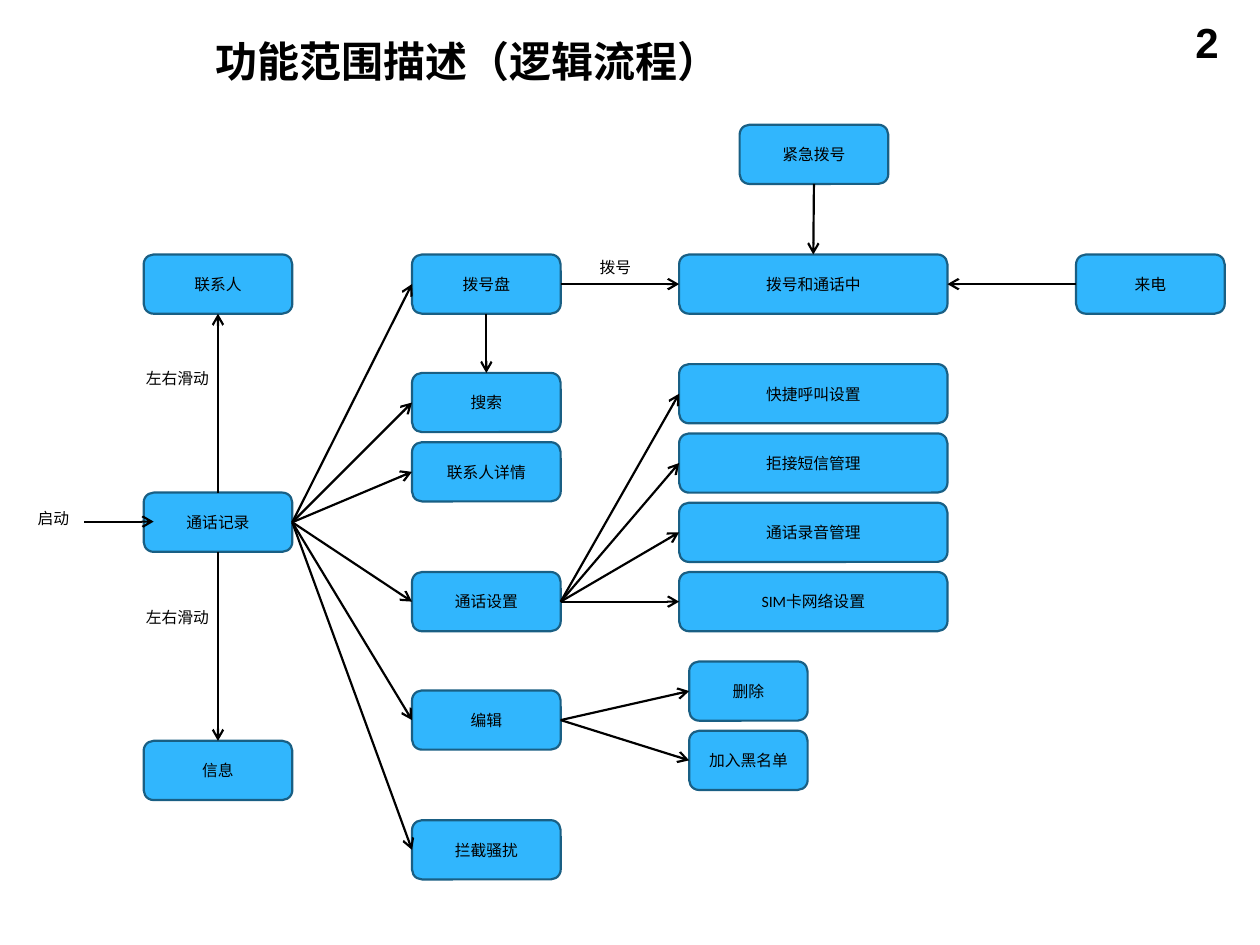
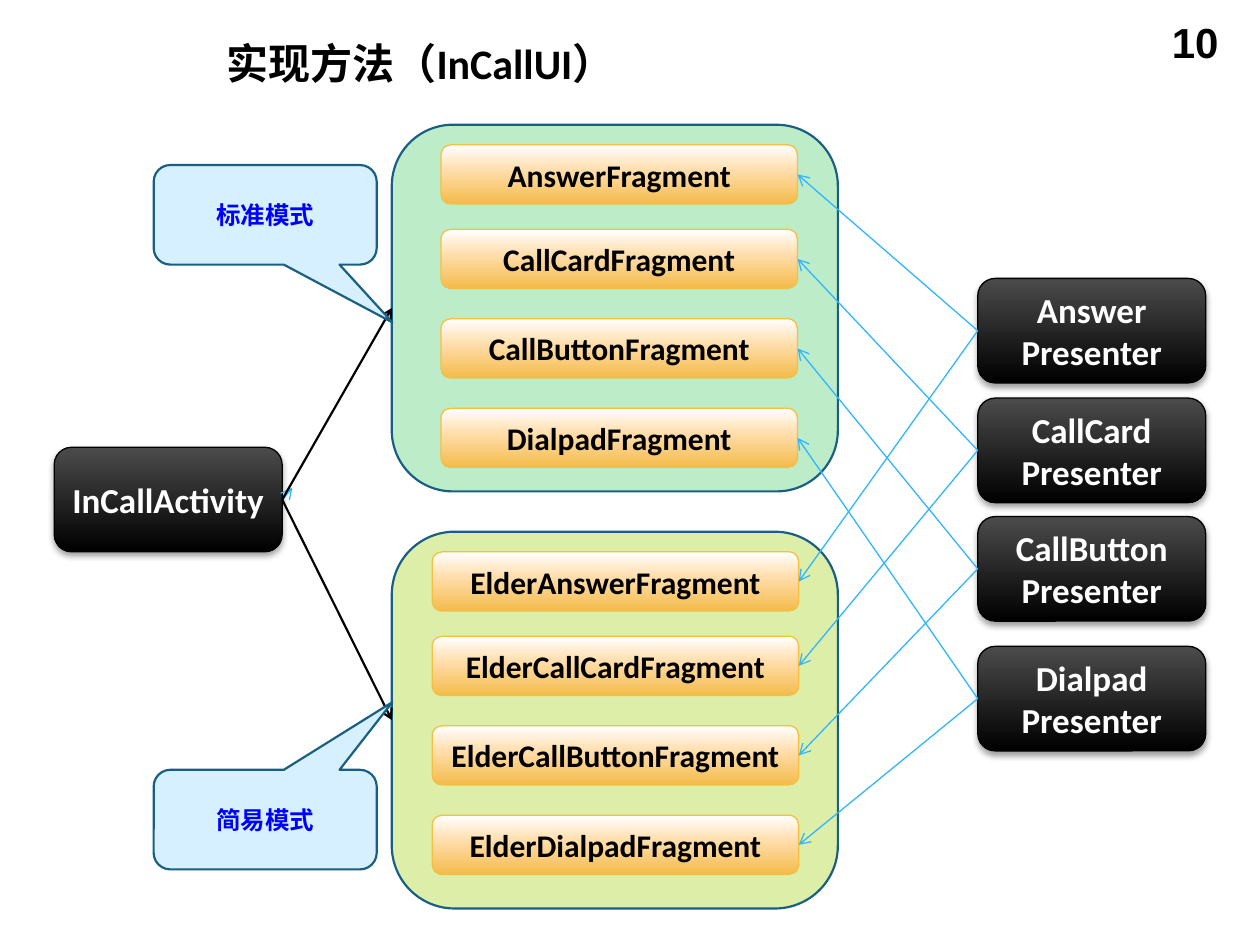
from copy import deepcopy
from enum import IntEnum

from lxml import etree
from pptx import Presentation
from pptx.dml.color import RGBColor
from pptx.enum import shapes, text
from pptx import util as u
from pptx.oxml import ns

BLACK = RGBColor(0x00, 0x00, 0x00)
WHITE = RGBColor(0xFF, 0xFF, 0xFF)
CHARCOAL = RGBColor(0x4B, 0x4B, 0x4B)
SKY = RGBColor(0x31, 0xB6, 0xFD)
PALE_SKY = RGBColor(0xD6, 0xF0, 0xFF)
NAVY = RGBColor(0x19, 0x5F, 0x84)
BLUE = RGBColor(0x00, 0x00, 0xFF)
MINT = RGBColor(0xBD, 0xEC, 0xC9)
LIME = RGBColor(0xDC, 0xEE, 0xA7)
PEACH = RGBColor(0xFF, 0xDD, 0xAA)
AMBER = RGBColor(0xF4, 0xBB, 0x4A)
GOLD = RGBColor(0xF5, 0xC0, 0x40)

DARK_GRADIENT = [(0, CHARCOAL), (1, BLACK)]
AMBER_GRADIENT = [(0, WHITE), (0.44, PEACH), (1, AMBER)]
ROUNDED = shapes.MSO_SHAPE.ROUNDED_RECTANGLE
CALLOUT = shapes.MSO_SHAPE.ROUNDED_RECTANGULAR_CALLOUT
BOX_HEIGHT = 0.47


class Side(IntEnum):
    """Connection sites of a rounded rectangle."""
    TOP = 0
    LEFT = 1
    BOTTOM = 2
    RIGHT = 3


class Painter:
    """Holds the shared style and draws on the current slide."""

    def __init__(self, deck):
        self.deck = deck
        self.page = None

    def start_page(self, number):
        self.page = self.deck.slides.add_slide(self.deck.slide_layouts[6])
        self.label(str(number), 7.44, 0.08, 2.33, 0.52, size=24, bold=True,
                   align=text.PP_ALIGN.RIGHT)

    def add_words(self, frame, words, size, color, font, bold, align):
        for index, line in enumerate(words.split("\n")):
            para = frame.paragraphs[0] if index == 0 else frame.add_paragraph()
            para.alignment = align
            span = para.add_run()
            span.text = line
            span.font.size = u.Pt(size)
            span.font.name = font
            span.font.bold = bold
            span.font.color.rgb = color

    def label(self, words, left, top, width, height, size=9, font="Arial",
              bold=False, align=text.PP_ALIGN.LEFT):
        box = self.page.shapes.add_textbox(
            *map(u.Inches, (left, top, width, height)))
        box.text_frame.word_wrap = True
        self.add_words(box.text_frame, words, size, BLACK, font, bold, align)
        return box

    def title(self, words, left, top, width, height, font):
        box = self.label(words, left, top, width, height, 24, font, True)
        box.text_frame.vertical_anchor = text.MSO_ANCHOR.MIDDLE

    def box(self, words, left, top, width, height=BOX_HEIGHT, fill=SKY,
            edge=NAVY, weight=1.25, size=9, color=BLACK, bold=False,
            kind=ROUNDED):
        box = self.page.shapes.add_shape(
            kind, *map(u.Inches, (left, top, width, height)))
        box.shadow.inherit = False
        if isinstance(fill, list):
            self.gradient(box, fill)
        else:
            box.fill.solid()
            box.fill.fore_color.rgb = fill
        box.line.color.rgb = edge
        box.line.width = u.Pt(weight)
        frame = box.text_frame
        frame.word_wrap = False
        frame.vertical_anchor = text.MSO_ANCHOR.MIDDLE
        if words:
            self.add_words(frame, words, size, color, "Calibri", bold,
                           text.PP_ALIGN.CENTER)
        return box

    def gradient(self, box, stops):
        box.fill.gradient()
        box.fill.gradient_angle = 270
        stop_list = box._element.spPr.find(".//" + ns.qn("a:gsLst"))
        while len(stop_list) < len(stops):
            stop_list.append(deepcopy(stop_list[0]))
        for stop, (position, color) in zip(box.fill.gradient_stops, stops):
            stop.position = position
            stop.color.rgb = color

    def dark_box(self, words, left, top):
        box = self.box(words, left, top, 1.81, 0.83, DARK_GRADIENT, BLACK,
                       0.75, 20, WHITE, True)
        effects = box._element.spPr.find(ns.qn("a:effectLst"))
        shadow = etree.SubElement(
            effects, ns.qn("a:outerShdw"), blurRad=str(u.Pt(4)),
            dist=str(u.Pt(2)), dir="5400000", rotWithShape="0")
        shade = etree.SubElement(shadow, ns.qn("a:srgbClr"), val=str(BLACK))
        etree.SubElement(shade, ns.qn("a:alpha"), val="38000")
        return box

    def fragment(self, words, left, top, width):
        return self.box(words, left, top, width, fill=AMBER_GRADIENT,
                        edge=GOLD, weight=0.75, size=18, bold=True)

    def callout(self, words, left, top, tip_y):
        box = self.box(words, left, top, 1.77, 0.79, PALE_SKY, size=14,
                       color=BLUE, bold=True, kind=CALLOUT)
        box.adjustments[0] = 0.57
        box.adjustments[1] = tip_y

    def arrow(self, start=(0, 0), end=(0, 0), color=BLACK, weight=1.25):
        arrow = self.page.shapes.add_connector(
            shapes.MSO_CONNECTOR.STRAIGHT, *map(u.Inches, (*start, *end)))
        arrow.line.color.rgb = color
        arrow.line.width = u.Pt(weight)
        properties = arrow._element.spPr
        etree.SubElement(properties.find(ns.qn("a:ln")), ns.qn("a:tailEnd"),
                         type="arrow")
        etree.SubElement(properties, ns.qn("a:effectLst"))
        return arrow

    def link(self, source, target, leave=Side.RIGHT, enter=Side.LEFT,
             **style):
        arrow = self.arrow(**style)
        arrow.begin_connect(source, int(leave))
        arrow.end_connect(target, int(enter))


def draw_logic_flow(painter):
    painter.start_page(2)
    painter.title("功能范围描述（逻辑流程）", 1.61, 0.21, 8.19, 0.55, "Arial")

    # Boxes by column: left edge, width, then top and wording of each
    columns = [
        (1.14, 1.18, [(2.02, "联系人"), (3.91, "通话记录"), (5.88, "信息")]),
        (3.27, 1.18, [(2.02, "拨号盘"), (2.96, "搜索"), (3.51, "联系人详情"),
                      (4.54, "通话设置"), (5.48, "编辑"), (6.51, "拦截骚扰")]),
        (5.39, 2.13, [(2.02, "拨号和通话中"), (2.89, "快捷呼叫设置"),
                      (3.44, "拒接短信管理"), (3.99, "通话录音管理"),
                      (4.54, "SIM卡网络设置")]),
        (5.47, 0.94, [(5.25, "删除"), (5.8, "加入黑名单")]),
        (5.87, 1.18, [(0.99, "紧急拨号")]),
        (8.54, 1.18, [(2.02, "来电")]),
    ]
    boxes = {words: painter.box(words, left, top, width)
             for left, width, entries in columns for top, words in entries}

    # Arrows that fan out to the right
    fans = {
        "通话记录": [words for _, words in columns[1][2]],
        "通话设置": [words for _, words in columns[2][2][1:]],
        "编辑": [words for _, words in columns[3][2]],
        "拨号盘": ["拨号和通话中"],
    }
    for source, targets in fans.items():
        for target in targets:
            painter.link(boxes[source], boxes[target])

    # Vertical arrows, the incoming call and the start
    for source, target, leave, enter in [
        ("通话记录", "联系人", Side.TOP, Side.BOTTOM),
        ("通话记录", "信息", Side.BOTTOM, Side.TOP),
        ("拨号盘", "搜索", Side.BOTTOM, Side.TOP),
        ("紧急拨号", "拨号和通话中", Side.BOTTOM, Side.TOP),
        ("来电", "拨号和通话中", Side.LEFT, Side.RIGHT),
    ]:
        painter.link(boxes[source], boxes[target], leave, enter)
    painter.arrow((0.67, 4.14), (1.22, 4.14))

    # Arrow labels
    for words, left, top, width in [
        ("启动", 0.2, 3.99, 0.47), ("拨号", 4.66, 2, 0.49),
        ("左右滑动", 1.06, 2.88, 0.95), ("左右滑动", 1.06, 4.77, 0.95),
    ]:
        painter.label(words, left, top, width, 0.25)


def draw_in_call_ui(painter):
    painter.start_page(10)
    painter.title("实现方法（InCallUI）", 1.7, 0.25, 7.63, 0.5, "Calibri")

    # Mode panels and the activity that opens them
    elder_panel = painter.box("", 3.11, 4.22, 3.54, 2.99, LIME)
    standard_panel = painter.box("", 3.11, 0.99, 3.54, 2.91, MINT)
    activity = painter.dark_box("InCallActivity", 0.43, 3.55)

    # Each presenter drives one fragment per mode
    elder_offset = 3.23
    for name, fragment_top, presenter_top in [
        ("Answer", 1.15, 2.21), ("CallCard", 1.82, 3.16),
        ("CallButton", 2.53, 4.1), ("Dialpad", 3.24, 5.13),
    ]:
        presenter = painter.dark_box(f"{name}\nPresenter", 7.76, presenter_top)
        standard = painter.fragment(f"{name}Fragment", 3.5, fragment_top, 2.83)
        elder = painter.fragment(f"Elder{name}Fragment", 3.43,
                                 fragment_top + elder_offset, 2.91)
        for fragment in (standard, elder):
            painter.link(presenter, fragment, Side.LEFT, Side.RIGHT,
                         color=SKY, weight=0.75)

    painter.arrow((2.24, 3.97), (2.32, 3.87), SKY, 0.75)
    for panel in (standard_panel, elder_panel):
        painter.link(activity, panel)

    # Mode names
    painter.callout("标准模式", 1.22, 1.31, 1.08)
    painter.callout("简易模式", 1.22, 6.11, -1.18)


def main():
    deck = Presentation()
    deck.slide_width = u.Inches(10)
    deck.slide_height = u.Inches(7.5)
    painter = Painter(deck)
    draw_logic_flow(painter)
    draw_in_call_ui(painter)
    deck.save("out.pptx")


if __name__ == "__main__":
    main()
